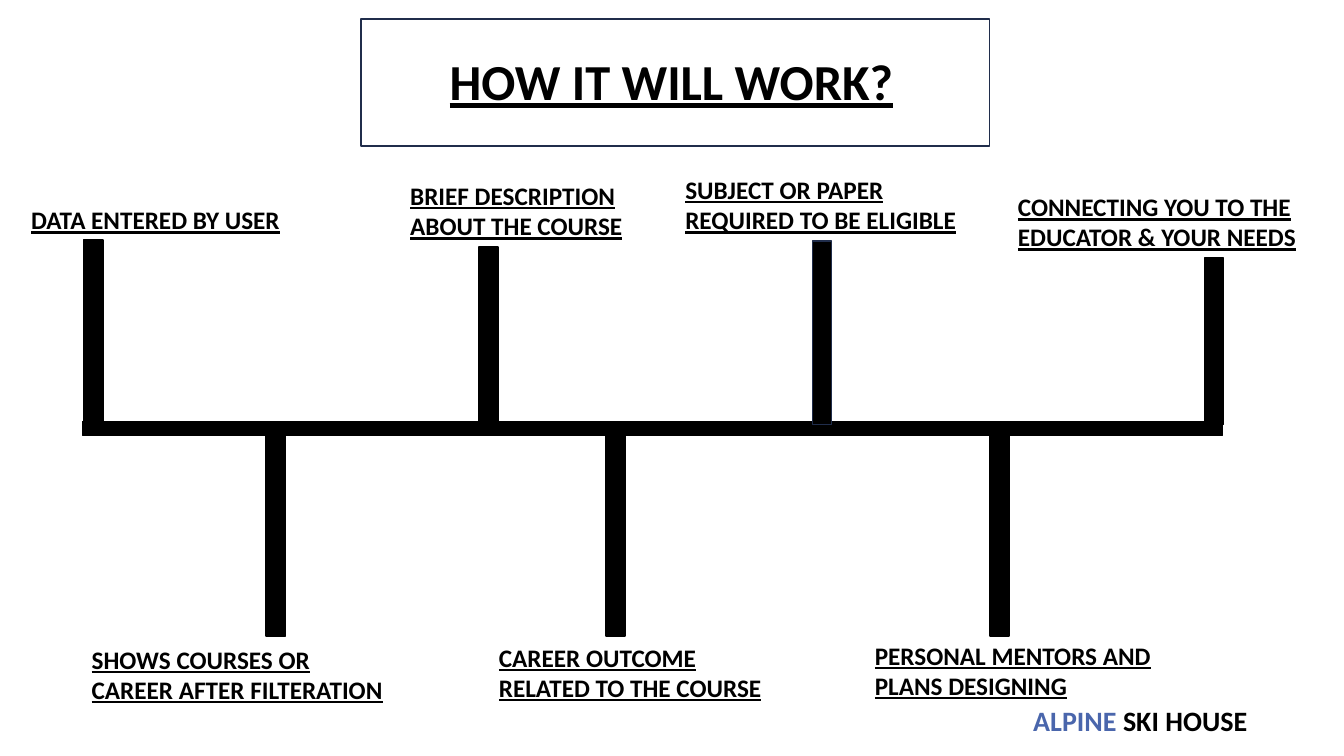
from pptx import Presentation
from pptx.dml.color import RGBColor
from pptx.enum.shapes import MSO_SHAPE
from pptx.enum.text import MSO_ANCHOR, MSO_AUTO_SIZE, PP_ALIGN
from pptx.util import Inches, Pt

COLORS = {"ink": "000000", "paper": "FFFFFF", "frame": "202D4B", "accent": "4A66AC"}
POST_WIDTH = 1.43
LINE_HEIGHTS = {1: 5.33, 2: 9.47}
UPPER_END, LOWER_START, LOWER_END = 56.13, 57.6, 84.13

UPPER_STEPS = [
    (6.23, 1.58, 26.4, 20.85, 1, ["DATA ENTERED BY USER"], "ink"),
    (35.63, 29.78, 23.2, 19.43, 2, ["BRIEF DESCRIPTION ABOUT THE COURSE"], "ink"),
    (60.45, 50.25, 22.4, 22.35, 2, ["SUBJECT OR PAPER REQUIRED TO BE ELIGIBLE"], "frame"),
    (89.63, 75, 24.67, 22.35, 2, ["CONNECTING YOU TO THE EDUCATOR & YOUR NEEDS"], "ink"),
]
LOWER_STEPS = [
    (19.8, 6.08, 84.53, 23.63, ["SHOWS COURSES OR CAREER AFTER FILTERATION"]),
    (45.08, 36.38, 84.27, 21.38, ["CAREER OUTCOME RELATED TO THE COURSE"]),
    (73.65, 64.35, 84, 25.05, ["PERSONAL MENTORS AND", "PLANS DESIGNING"]),
]


class TimelineSlide:
    label_format = {"name": "Calibri", "size": Pt(18), "bold": True, "underline": True}
    title_format = {**label_format, "size": Pt(36)}
    brand_format = {**label_format, "size": Pt(20), "underline": False}

    def __init__(self, presentation):
        self.width = presentation.slide_width
        self.height = presentation.slide_height
        self.slide = presentation.slides.add_slide(presentation.slide_layouts[5])

    def place(self, left, top, width, height):
        return (
            round(self.width * left / 100),
            round(self.height * top / 100),
            round(self.width * width / 100),
            round(self.height * height / 100),
        )

    def add_text(self, paragraph, text, formats, color="ink"):
        run = paragraph.add_run()
        run.text = text
        for name, value in formats.items():
            setattr(run.font, name, value)
        run.font.color.rgb = RGBColor.from_string(COLORS[color])

    def bar(self, box, fill="ink", line="ink"):
        shape = self.slide.shapes.add_shape(MSO_SHAPE.RECTANGLE, *self.place(*box))
        shape.shadow.inherit = False
        shape.fill.solid()
        shape.fill.fore_color.rgb = RGBColor.from_string(COLORS[fill])
        shape.line.color.rgb = RGBColor.from_string(COLORS[line])
        shape.line.width = Pt(1)

    def label(self, box, lines):
        frame = self.slide.shapes.add_textbox(*self.place(*box)).text_frame
        frame.word_wrap = True
        for index, text in enumerate(lines):
            paragraph = frame.add_paragraph() if index else frame.paragraphs[0]
            self.add_text(paragraph, text, self.label_format)

    def title(self, box, text):
        shape = self.slide.shapes.title
        shape.left, shape.top, shape.width, shape.height = self.place(*box)
        shape.element.getparent().append(shape.element)
        frame = shape.text_frame
        settings = {
            "word_wrap": True,
            "auto_size": MSO_AUTO_SIZE.NONE,
            "vertical_anchor": MSO_ANCHOR.TOP,
        }
        for name, value in settings.items():
            setattr(frame, name, value)
        frame.paragraphs[0].alignment = PP_ALIGN.LEFT
        self.add_text(frame.paragraphs[0], text, self.title_format)

    def brand(self, box, parts):
        frame = self.slide.shapes.add_textbox(*self.place(*box)).text_frame
        frame.word_wrap = False
        frame.vertical_anchor = MSO_ANCHOR.MIDDLE
        for side in ("left", "top", "right", "bottom"):
            setattr(frame, f"margin_{side}", Inches(0.02))
        for text, color in parts:
            self.add_text(frame.paragraphs[0], text, self.brand_format, color)


def main():
    presentation = Presentation()
    presentation.slide_width = Inches(13.33)
    presentation.slide_height = Inches(7.5)
    timeline = TimelineSlide(presentation)

    timeline.brand((76.73, 92.8, 16.35, 5.07), [("ALPINE", "accent"), (" SKI HOUSE", "ink")])
    timeline.bar((26.85, 2.53, 46.8, 16.8), "paper", "frame")
    timeline.bar((6.15, 55.73, 84.83, 1.87))

    for post_left, left, top, width, line_count, lines, line in UPPER_STEPS:
        height = LINE_HEIGHTS[line_count]
        post_top = top + height
        timeline.bar((post_left, post_top, POST_WIDTH, UPPER_END - post_top), line=line)
        timeline.label((left, top, width, height), lines)

    for post_left, left, top, width, lines in LOWER_STEPS:
        timeline.bar((post_left, LOWER_START, POST_WIDTH, LOWER_END - LOWER_START))
        timeline.label((left, top, width, LINE_HEIGHTS[2]), lines)

    timeline.title((32.7, 6, 36.53, 9.47), "HOW IT WILL WORK?")
    presentation.save("out.pptx")


if __name__ == "__main__":
    main()
